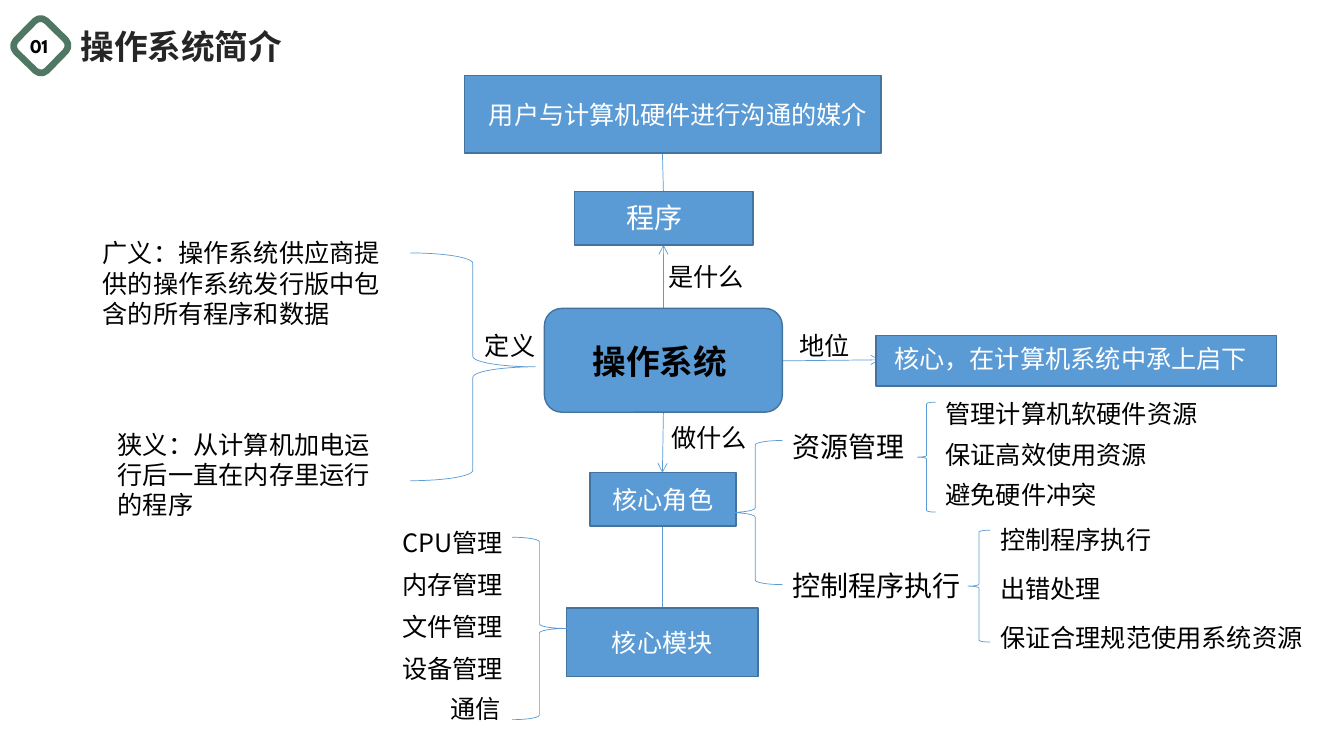
"""Build the operating system overview mind map slide."""
from pptx import Presentation
from pptx.dml.color import RGBColor
from pptx.enum.shapes import MSO_CONNECTOR, MSO_SHAPE as SHAPE
from pptx.enum.text import MSO_ANCHOR, PP_ALIGN
from pptx.oxml.ns import qn
from pptx.util import Inches, Pt
from lxml.etree import SubElement

COLS, ROWS = 1333, 750
SANS, DISPLAY = "Noto Sans CJK SC", "League Spartan"
BLUE, EDGE, GREEN = "5B9BD5", "43739E", "24563C"
BLACK, WHITE, INK = "000000", "FFFFFF", "262626"

LINKS = [
    ((658, 306), (658, 243), True),
    ((658, 190), (657, 151), False),
    ((776, 358), (873, 357), True),
    ((658, 409), (657, 469), True),
    ((657, 517), (657, 612), False),
]
BOXES = [
    (SHAPE.ROUNDED_RECTANGLE, (540, 306, 236, 103), ""),
    (SHAPE.RECTANGLE, (570, 190, 177, 53), ""),
    (SHAPE.RECTANGLE, (461, 75, 413, 77), ""),
    (SHAPE.RECTANGLE, (869, 333, 397, 50), ""),
    (SHAPE.RECTANGLE, (585, 469, 145, 53), "核心角色"),
    (SHAPE.RECTANGLE, (562, 603, 190, 68), "核心模块"),
]
BRACES = [
    (SHAPE.RIGHT_BRACE, (407, 251, 124, 226)),
    (SHAPE.LEFT_BRACE, (722, 437, 54, 143)),
    (SHAPE.LEFT_BRACE, (910, 399, 18, 109)),
    (SHAPE.LEFT_BRACE, (960, 526, 22, 111)),
    (SHAPE.RIGHT_BRACE, (508, 533, 54, 181)),
]
LABELS = [
    ("操作系统", (578, 333, 177, 50), 24, BLACK, True),
    ("程序", (612, 194, 106, 44), 20, WHITE, False),
    ("用户与计算机硬件进行沟通的媒介", (475, 94, 398, 40), 18, WHITE, False),
    ("核心，在计算机系统中承上启下", (877, 336, 402, 40), 18, WHITE, False),
    ("是什么", (653, 254, 99, 40), 18, BLACK, False),
    ("地位", (783, 323, 82, 40), 18, BLACK, False),
    ("做什么", (656, 414, 99, 40), 18, BLACK, False),
    ("定义", (471, 323, 88, 40), 18, BLACK, False),
    ("资源管理", (776, 421, 134, 44), 20, BLACK, False),
    ("控制程序执行", (776, 559, 229, 44), 20, BLACK, False),
    ("广义：操作系统供应商提供的操作系统发行版中包含的所有程序和数据",
     (92, 231, 315, 101), 18, BLACK, False),
    ("狭义：从计算机加电运行后一直在内存里运行的程序",
     (107, 421, 283, 101), 18, BLACK, False),
    ("通信", (437, 683, 77, 40), 18, BLACK, False),
]
LISTS = [
    ((928, 390), 40.5, 270, ["管理计算机软硬件资源", "保证高效使用资源", "避免硬件冲突"]),
    ((982, 515), 48.5, 371, ["控制程序执行", "出错处理", "保证合理规范使用系统资源"]),
    ((389, 518), 41.8, 149, ["CPU管理", "内存管理", "文件管理", "设备管理"]),
]

prs = Presentation()
prs.slide_width, prs.slide_height = Inches(13.33), Inches(7.5)
shapes = prs.slides.add_slide(prs.slide_layouts[6]).shapes


def color(value):
    return RGBColor.from_string(value)


def place(*cells):
    units = (prs.slide_width / COLS, prs.slide_height / ROWS)
    return [round(c * units[i % 2]) for i, c in enumerate(cells)]


def write(tf, text, size, ink, bold=False, font=SANS):
    r = tf.paragraphs[0].add_run()
    r.text = text
    r.font.size, r.font.bold, r.font.name = Pt(size), bold, font
    r.font.color.rgb = color(ink)
    SubElement(r.font._element, qn("a:ea")).set("typeface", font)


def label(text, box, size, ink, bold=False, font=SANS, wrap=True):
    tf = shapes.add_textbox(*place(*box)).text_frame
    tf.word_wrap = wrap
    write(tf, text, size, ink, bold, font)


def outline(kind, box, line, width, fill=None):
    s = shapes.add_shape(kind, *place(*box))
    s.shadow.inherit = False
    s.line.color.rgb, s.line.width = color(line), Pt(width)
    if fill:
        s.fill.solid()
        s.fill.fore_color.rgb = color(fill)
    else:
        s.fill.background()
    return s


def link(start, end, arrow):
    s = shapes.add_connector(MSO_CONNECTOR.STRAIGHT, *place(*start, *end))
    s.line.color.rgb, s.line.width = color(BLUE), Pt(0.5)
    if arrow:
        SubElement(s.line._get_or_add_ln(), qn("a:tailEnd")).set("type", "arrow")
    SubElement(s._element.spPr, qn("a:effectLst"))


def heading():
    label("操作系统简介", (70, 21, 220, 50), 24, INK, True, wrap=False)
    badge = outline(SHAPE.ROUNDED_RECTANGLE, (19, 24, 43, 43), GREEN, 4.75)
    badge.rotation, badge.adjustments[0] = 44.3, 0.187
    tint = badge.line._get_or_add_ln().find(".//" + qn("a:srgbClr"))
    SubElement(tint, qn("a:alpha")).set("val", "80000")
    label("01", (20, 29, 50, 34), 14, BLACK, True, DISPLAY)


def main():
    heading()
    for ends in LINKS:
        link(*ends)
    for kind, box, text in BOXES:
        s = outline(kind, box, EDGE, 1, BLUE)
        if text:
            tf = s.text_frame
            tf.vertical_anchor = MSO_ANCHOR.MIDDLE
            tf.paragraphs[0].alignment = PP_ALIGN.CENTER
            write(tf, text, 18, WHITE)
    for kind, box in BRACES:
        outline(kind, box, BLUE, 0.5)
    for item in LABELS:
        label(*item)
    for (left, top), step, width, items in LISTS:
        for i, text in enumerate(items):
            label(text, (left, top + i * step, width, 40), 18, BLACK)
    prs.save("out.pptx")


if __name__ == "__main__":
    main()
